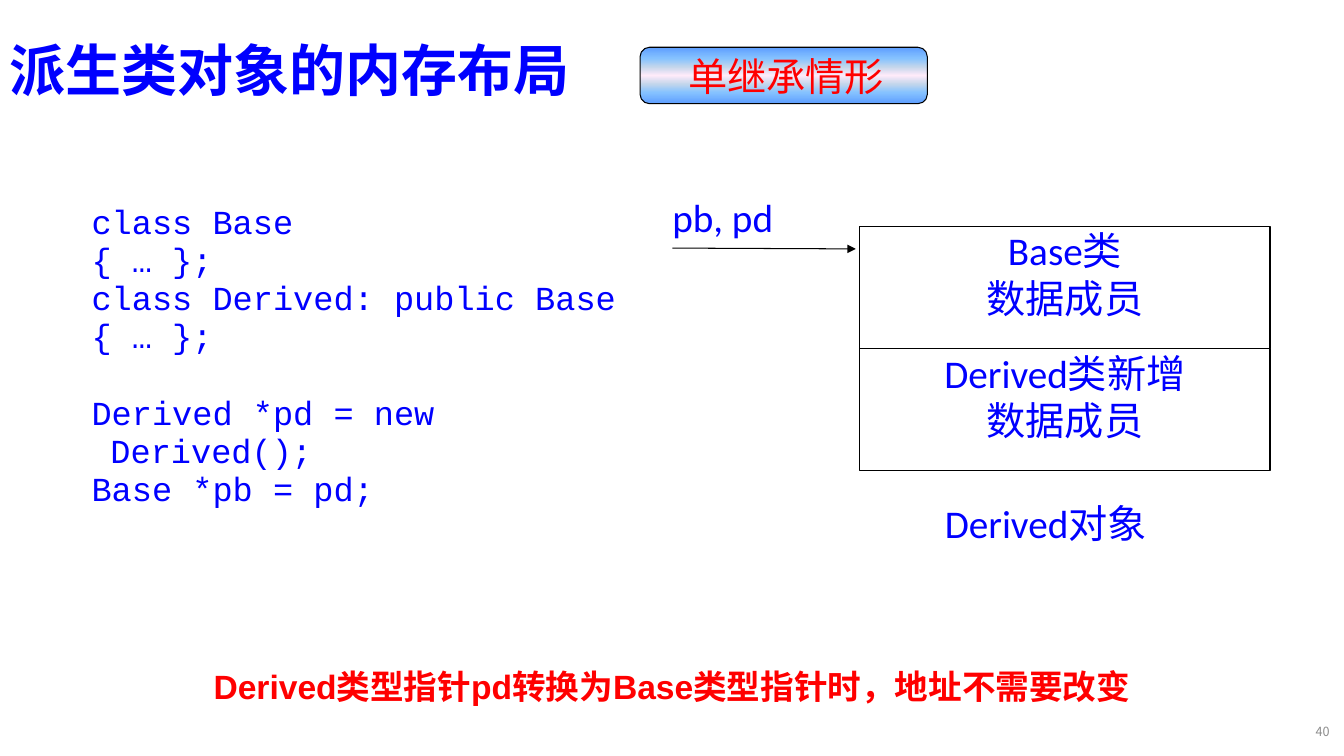
import pptx
import pptx.util
import pptx.dml.color
import pptx.enum.shapes
import pptx.enum.text
import pptx.oxml
import pptx.oxml.ns
from lxml import etree

Pt = pptx.util.Pt
MSO_SHAPE = pptx.enum.shapes.MSO_SHAPE
ALIGN = pptx.enum.text.PP_ALIGN
MIDDLE = pptx.enum.text.MSO_ANCHOR.MIDDLE
qn = pptx.oxml.ns.qn

BLUE, RED, GREY, BLACK = "0000FF", "FF0000", "8C8C8C", "000000"
CJK = "Noto Sans CJK SC"

TITLE = "派生类对象的内存布局"
CASE = "单继承情形"
CODE = [  # line, space before
    ("class Base", 0),
    ("{ … };", 0),
    ("class Derived: public Base", 0),
    ("{ … };", 0),
    ("Derived *pd = new Derived();", 27),
    ("Base *pb = pd;", 0),
]
MEMORY = [["Base类", "数据成员"], ["Derived类新增", "数据成员"]]
POINTERS = "pb, pd"
OBJECT = "Derived对象"
CONCLUSION = "Derived类型指针pd转换为Base类型指针时，地址不需要改变"
PAGE = "40"

BADGE_STOPS = [(0, "5E9EFF"), (20, "85C2FF"), (35, "C4D6EB"), (50, "FFEBFA"),
               (65, "C4D6EB"), (80, "85C2FF"), (100, "5E9EFF")]
MEM_LEFT, MEM_TOP, MEM_W, MEM_H = 614.2, 162, 293, 87.2


def color(hex_string):
    return pptx.dml.color.RGBColor.from_string(hex_string)


def write(sp, lines, size, font, rgb, bold=False, align=ALIGN.LEFT, inset=True):
    """Fill a shape with one paragraph per line, all in one style."""
    tf = sp.text_frame
    tf.word_wrap = True
    if not inset:
        tf.margin_left = tf.margin_top = tf.margin_right = tf.margin_bottom = 0
    tf.text = "\n".join(lines)
    for p in tf.paragraphs:
        p.alignment = align
        for r in p.runs:
            r.font.size, r.font.bold, r.font.name = Pt(size), bold, font
            r.font.color.rgb = color(rgb)
            ea = etree.SubElement(r.font._element, qn("a:ea"))
            ea.set("typeface", CJK)
    return tf


def add_text(box, lines, *style, **options):
    sp = s.shapes.add_textbox(*map(Pt, box))
    return write(sp, lines, *style, **options)


def add_outlined(kind, box):
    """Add an unfilled preset shape with a thin black outline."""
    sp = s.shapes.add_shape(kind, *map(Pt, box))
    sp.shadow.inherit = False
    sp.fill.background()
    sp.line.color.rgb = color(BLACK)
    sp.line.width = Pt(0.75)
    return sp


def fill_gradient(sp, stops):
    sp.fill.gradient()
    sp.fill.gradient_angle = 90
    gs_list = sp._element.spPr.find(qn("a:gradFill")).find(qn("a:gsLst"))
    for gs in list(gs_list):
        gs_list.remove(gs)
    for percent, rgb in stops:
        gs = etree.SubElement(gs_list, qn("a:gs"), pos=str(percent * 1000))
        etree.SubElement(gs, qn("a:srgbClr"), val=rgb)


def add_arrow(x1, y1, x2, y2):
    line = s.shapes.add_connector(pptx.enum.shapes.MSO_CONNECTOR.STRAIGHT,
                                  Pt(x1), Pt(y1), Pt(x2), Pt(y2))
    line.line.color.rgb = color(BLACK)
    line.line.width = Pt(0.75)
    etree.SubElement(line.line._get_or_add_ln(), qn("a:tailEnd"), type="triangle")
    etree.SubElement(line._element.spPr, qn("a:effectLst"))


prs = pptx.Presentation()
prs.slide_width, prs.slide_height = Pt(960), Pt(540)
s = prs.slides.add_slide(prs.slide_layouts[6])

badge = add_outlined(MSO_SHAPE.ROUNDED_RECTANGLE, (457.2, 33.8, 205.2, 40.3))
fill_gradient(badge, BADGE_STOPS)
add_text((459.4, 33.8, 204.5, 32.4), [CASE], 28, "Arial", RED, align=ALIGN.CENTER)

tf = add_text((0, 0, 828, 104.4), [TITLE], 40, CJK, BLUE, bold=True)
tf.vertical_anchor = MIDDLE
tf.paragraphs[0].line_spacing = 0.9

tf = add_text((58.3, 141.8, 394.6, 282.2), [line for line, _ in CODE],
              24, "Courier New", BLUE)
for p, (_, before) in zip(tf.paragraphs, CODE):
    p.line_spacing = 0.95
    p.space_before = Pt(before)
    pPr = p._p.get_or_add_pPr()
    pPr.set("marL", str(Pt(13.5)))
    pPr.set("indent", str(-Pt(13.5)))

for i, lines in enumerate(MEMORY):
    sp = add_outlined(MSO_SHAPE.RECTANGLE, (MEM_LEFT, MEM_TOP + i * MEM_H, MEM_W, MEM_H))
    tf = write(sp, lines, 28, "Calibri", BLUE, align=ALIGN.CENTER, inset=False)
    tf.vertical_anchor = pptx.enum.text.MSO_ANCHOR.TOP

add_arrow(480.2, 177.2, 611.3, 177.8)
add_text((480.2, 138.2, 99.4, 52.6), [POINTERS], 28, "Calibri", BLUE,
         align=ALIGN.JUSTIFY, inset=False)
add_text((655.9, 356.4, 182.2, 46.1), [OBJECT], 28, "Calibri", BLUE,
         align=ALIGN.CENTER, inset=False)
add_text((118.8, 472.3, 722.2, 36), [CONCLUSION], 24, "Arial", RED,
         bold=True, align=ALIGN.CENTER)
tf = add_text((928.1, 508.3, 28.8, 28.8), [PAGE], 9, CJK, GREY, align=ALIGN.RIGHT)
tf.vertical_anchor = MIDDLE

prs.save("out.pptx")
